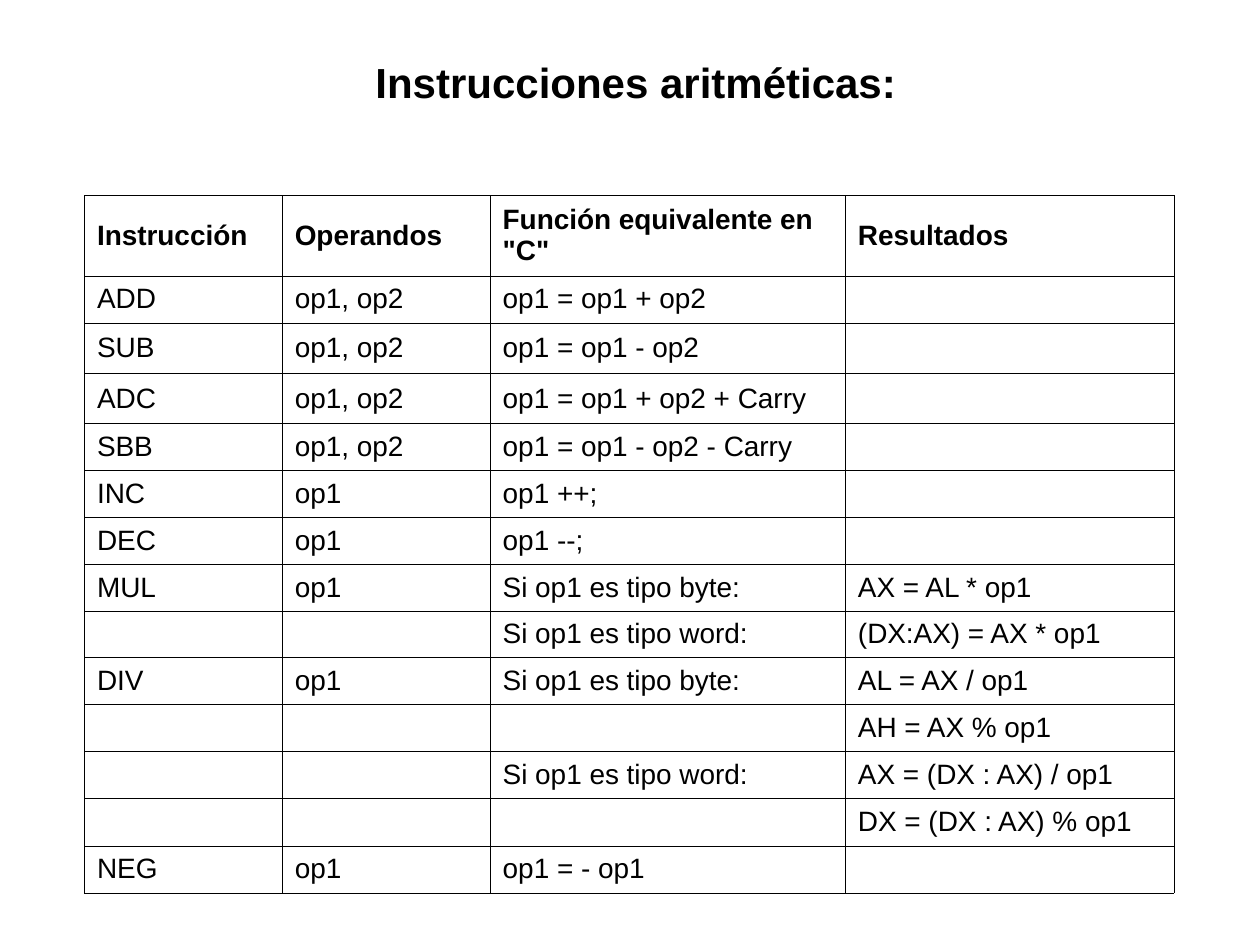
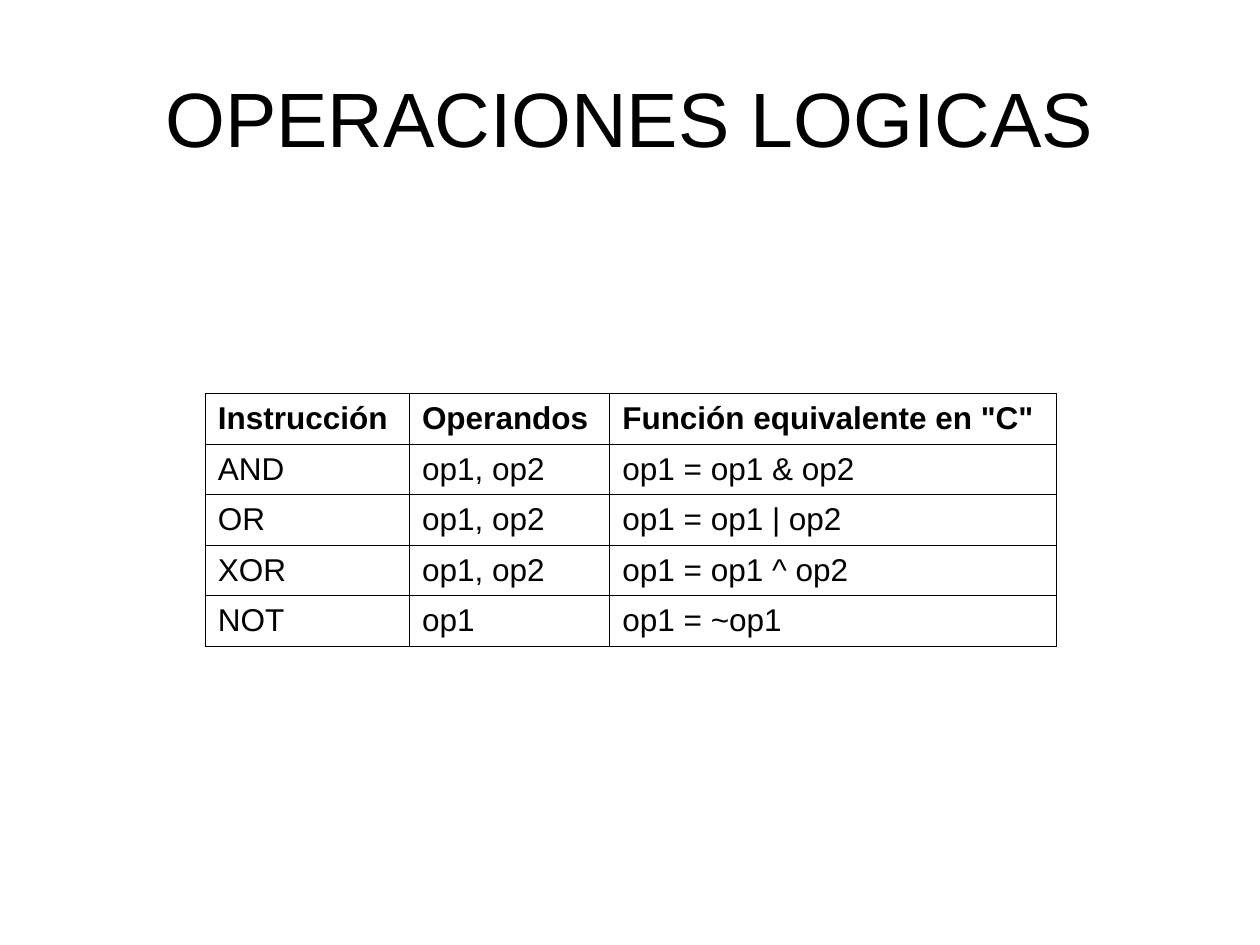
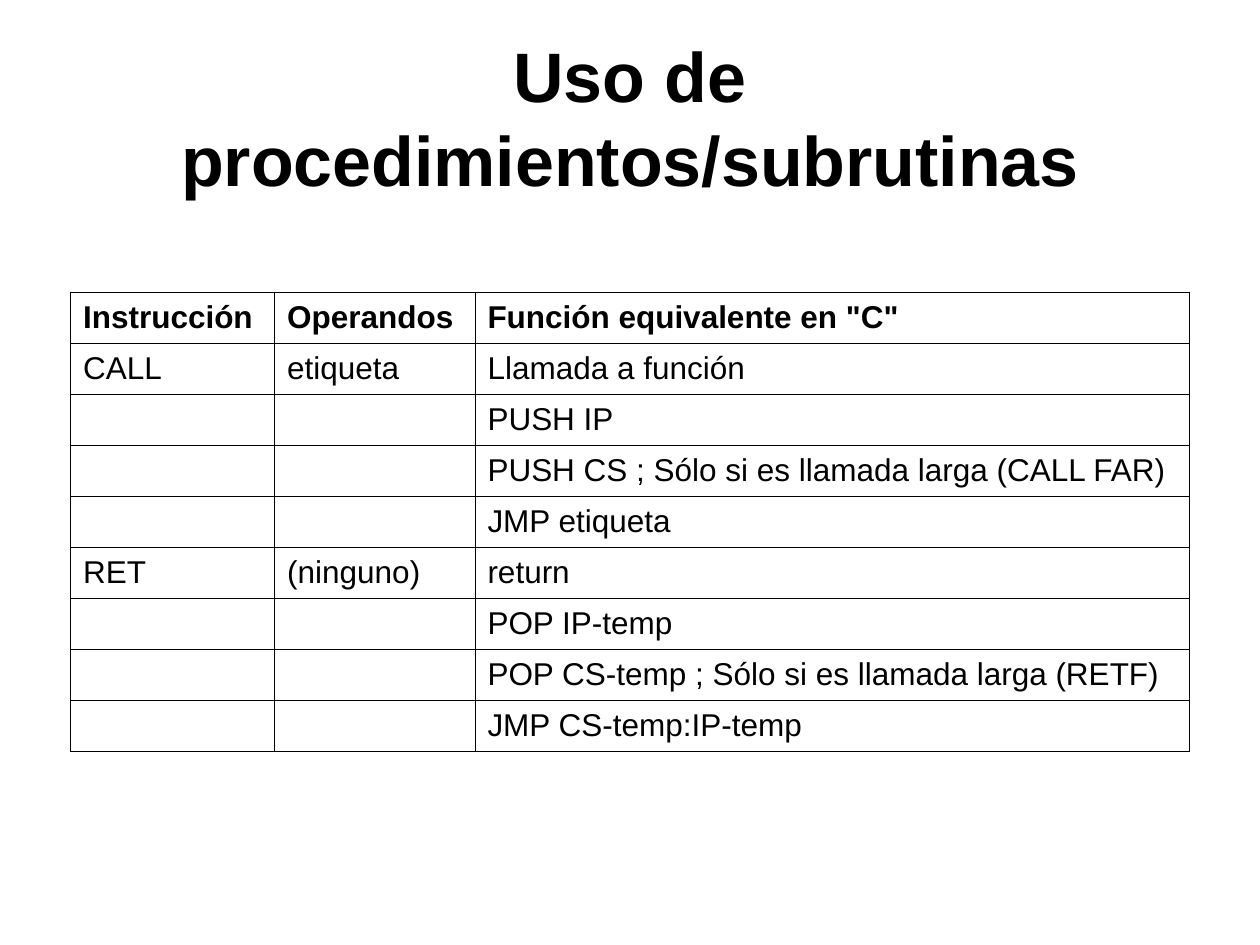
import dataclasses

import pptx
import pptx.dml.color
import pptx.enum.text
import pptx.oxml
import pptx.oxml.ns
import pptx.presentation
import pptx.slide
import pptx.table
import pptx.text.text
import pptx.util

Inches = pptx.util.Inches
ANCHOR = pptx.enum.text.MSO_ANCHOR
ALIGN = pptx.enum.text.PP_ALIGN

FONT_NAME = "Arial"
INK = "000000"
BORDER_POINTS = 0.34
TITLE_ONLY_LAYOUT = 5
HEADINGS = ("Instrucción", "Operandos", 'Función equivalente en "C"')


@dataclasses.dataclass(frozen=True)
class Box:
    """A rectangle in inches."""

    left: float
    top: float
    width: float
    height: float

    def lengths(self) -> dict[str, int]:
        """Return the sides as named lengths."""
        return {name: Inches(value) for name, value in dataclasses.asdict(self).items()}


@dataclasses.dataclass(frozen=True)
class Title:
    """A slide title with its place and style."""

    text: str
    size: float
    bold: bool = False
    box: Box = Box(0.5, 0.3, 9, 1.25)
    align: ALIGN = ALIGN.CENTER
    anchor: ANCHOR = ANCHOR.MIDDLE
    wrap: bool = True


@dataclasses.dataclass(frozen=True)
class InstructionTable:
    """A ruled table of instructions; rows share the height unless listed."""

    box: Box
    size: float
    columns: tuple[float, ...]
    rows: tuple[tuple[str, ...], ...]
    row_heights: tuple[float, ...] = ()


@dataclasses.dataclass(frozen=True)
class Page:
    """One slide: a title above a table."""

    title: Title
    table: InstructionTable


PAGES = (
    Page(
        Title("Instrucciones aritméticas:", 24, True, Box(2.88, 0.4, 4.42, 0.9),
              ALIGN.LEFT, ANCHOR.TOP, False),
        InstructionTable(
            Box(0.67, 1.55, 8.66, 5.49),
            16,
            (1.57, 1.65, 2.82, 2.61),
            (
                (*HEADINGS, "Resultados"),
                ("ADD", "op1, op2", "op1 = op1 + op2", ""),
                ("SUB", "op1, op2", "op1 = op1 - op2", ""),
                ("ADC", "op1, op2", "op1 = op1 + op2 + Carry", ""),
                ("SBB", "op1, op2", "op1 = op1 - op2 - Carry", ""),
                ("INC", "op1", "op1 ++;", ""),
                ("DEC", "op1", "op1 --;", ""),
                ("MUL", "op1", "Si op1 es tipo byte:", "AX = AL * op1"),
                ("", "", "Si op1 es tipo word:", "(DX:AX) = AX * op1"),
                ("DIV", "op1", "Si op1 es tipo byte:", "AL = AX / op1"),
                ("", "", "", "AH = AX % op1"),
                ("", "", "Si op1 es tipo word:", "AX = (DX : AX) / op1"),
                ("", "", "", "DX = (DX : AX) % op1"),
                ("NEG", "op1", "op1 = - op1", ""),
            ),
            (0.64, 0.37, 0.4, 0.4, *[0.37] * 8, 0.38, 0.37),
        ),
    ),
    Page(
        Title("OPERACIONES LOGICAS", 44),
        InstructionTable(
            Box(1.63, 3.12, 6.74, 2.01),
            18,
            (1.62, 1.59, 3.54),
            (
                HEADINGS,
                ("AND", "op1, op2", "op1 = op1 & op2"),
                ("OR", "op1, op2", "op1 = op1 | op2"),
                ("XOR", "op1, op2", "op1 = op1 ^ op2"),
                ("NOT", "op1", "op1 = ~op1"),
            ),
        ),
    ),
    Page(
        Title("Uso de procedimientos/subrutinas", 40, True),
        InstructionTable(
            Box(0.56, 2.32, 8.88, 3.63),
            18,
            (1.62, 1.59, 5.67),
            (
                HEADINGS,
                ("CALL", "etiqueta", "Llamada a función"),
                ("", "", "PUSH IP"),
                ("", "", "PUSH CS ; Sólo si es llamada larga (CALL FAR)"),
                ("", "", "JMP etiqueta"),
                ("RET", "(ninguno)", "return"),
                ("", "", "POP IP-temp"),
                ("", "", "POP CS-temp ; Sólo si es llamada larga (RETF)"),
                ("", "", "JMP CS-temp:IP-temp"),
            ),
        ),
    ),
)


def color(value: str) -> pptx.dml.color.RGBColor:
    """Turn a hex string into a colour."""
    return pptx.dml.color.RGBColor.from_string(value)


def apply(target: object, values: dict[str, object]) -> None:
    """Set every named attribute on the target."""
    for name, value in values.items():
        setattr(target, name, value)


def write(frame: pptx.text.text.TextFrame, text: str, size: float, bold: bool,
          align: ALIGN) -> None:
    """Write one styled paragraph, keeping the text size when it is empty."""
    para = frame.paragraphs[0]
    para.alignment = align
    if not text:
        end = pptx.oxml.parse_xml(
            f'<a:endParaRPr {pptx.oxml.ns.nsdecls("a")} sz="{round(size * 100)}"/>')
        para._p.append(end)
        return
    span = para.add_run()
    span.text = text
    apply(span.font, {"name": FONT_NAME, "size": pptx.util.Pt(size), "bold": bold})
    span.font.color.rgb = color(INK)


def draw_title(slide: pptx.slide.Slide, title: Title) -> None:
    """Place and style the title placeholder."""
    shape = slide.shapes.title
    apply(shape, title.box.lengths())
    apply(shape.text_frame, {
        "vertical_anchor": title.anchor,
        "word_wrap": title.wrap,
        "auto_size": pptx.enum.text.MSO_AUTO_SIZE.NONE,
    })
    write(shape.text_frame, title.text, title.size, title.bold, title.align)


def rule_cell(cell: pptx.table._Cell) -> None:
    """Draw a thin border on all four sides of a cell."""
    properties = cell._tc.get_or_add_tcPr()
    for side in "LRTB":
        properties.append(pptx.oxml.parse_xml(
            f'<a:ln{side} {pptx.oxml.ns.nsdecls("a")} w="{pptx.util.Pt(BORDER_POINTS)}">'
            f'<a:solidFill><a:srgbClr val="{INK}"/></a:solidFill></a:ln{side}>'))


def draw_table(slide: pptx.slide.Slide, content: InstructionTable) -> None:
    """Draw a table with bold headings and thin rules."""
    table = slide.shapes.add_table(
        len(content.rows), len(content.columns), **content.box.lengths()).table
    apply(table, {"first_row": False, "horz_banding": False})
    for column, width in zip(table.columns, content.columns):
        column.width = Inches(width)
    for row, height in zip(table.rows, content.row_heights):
        row.height = Inches(height)
    for row_index, texts in enumerate(content.rows):
        for column_index, text in enumerate(texts):
            cell = table.cell(row_index, column_index)
            cell.vertical_anchor = ANCHOR.MIDDLE
            rule_cell(cell)
            cell.fill.background()
            write(cell.text_frame, text, content.size, row_index == 0, ALIGN.LEFT)


def main() -> None:
    """Build the deck and save it."""
    deck = pptx.Presentation()
    apply(deck, {"slide_width": Inches(10), "slide_height": Inches(7.5)})
    for page in PAGES:
        slide = deck.slides.add_slide(deck.slide_layouts[TITLE_ONLY_LAYOUT])
        draw_title(slide, page.title)
        draw_table(slide, page.table)
    deck.save("out.pptx")


if __name__ == "__main__":
    main()
